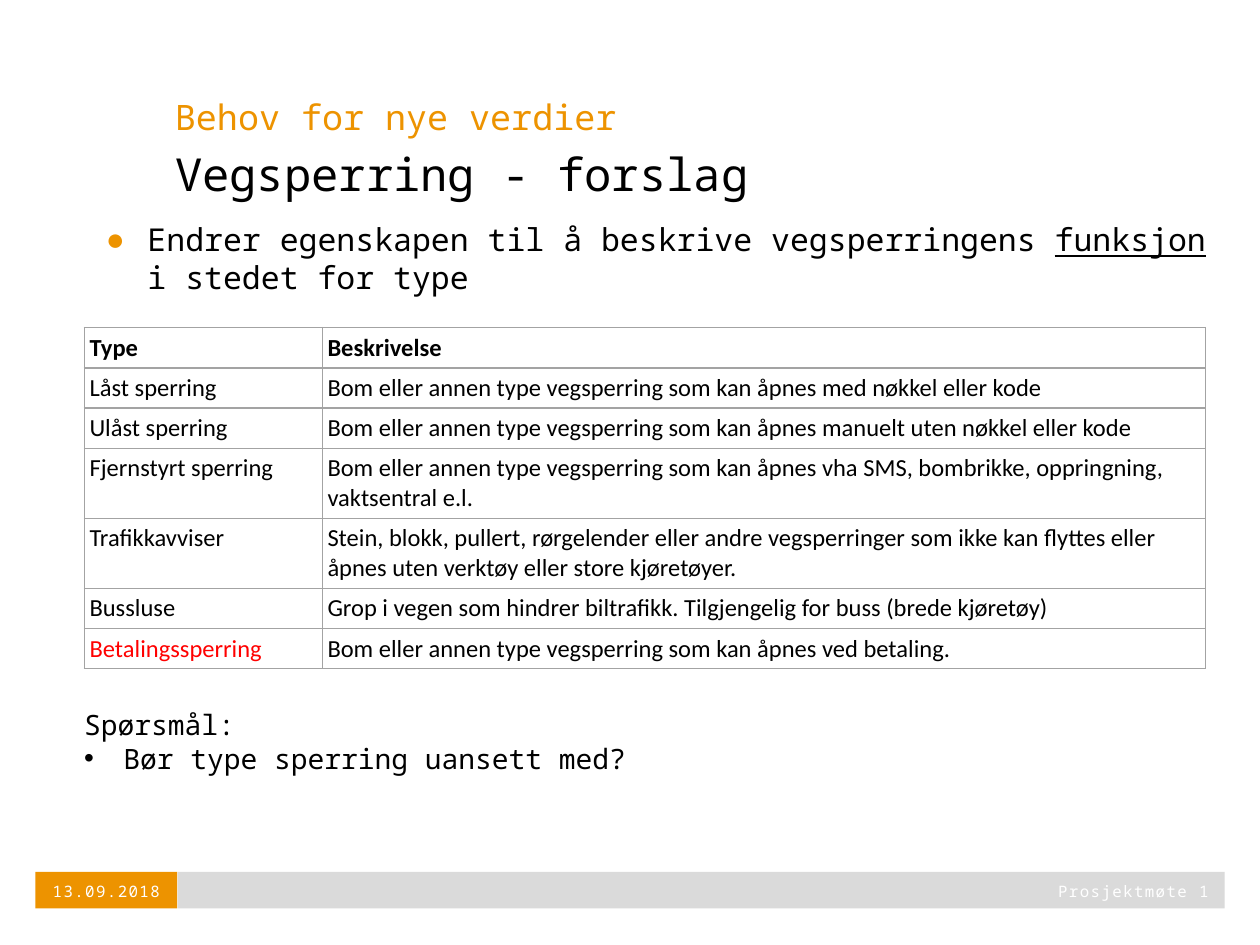
from dataclasses import dataclass

from lxml.etree import SubElement
from pptx import Presentation
from pptx.dml.color import RGBColor
from pptx.enum.shapes import MSO_SHAPE
from pptx.enum.text import MSO_ANCHOR, PP_ALIGN
from pptx.oxml.ns import qn
from pptx.util import Pt


@dataclass(frozen=True)
class Theme:
    orange: str = "ED9300"
    bar: str = "DADADA"
    border: str = "A3A3A3"
    black: str = "000000"
    white: str = "FFFFFF"
    red: str = "FF0000"
    mono: str = "Noto Sans Mono"
    sans: str = "Calibri"
    title: int = 26
    kicker: int = 20
    body: int = 18
    question: int = 16
    table: int = 14
    footer: int = 9


THEME = Theme()

BLOCKING_TYPES = [
    ("Type", "Beskrivelse"),
    ("Låst sperring", "Bom eller annen type vegsperring som kan åpnes med nøkkel eller kode"),
    ("Ulåst sperring", "Bom eller annen type vegsperring som kan åpnes manuelt uten nøkkel eller kode"),
    ("Fjernstyrt sperring", "Bom eller annen type vegsperring som kan åpnes vha SMS, bombrikke, "
                            "oppringning, vaktsentral e.l."),
    ("Trafikkavviser", "Stein, blokk, pullert, rørgelender eller andre vegsperringer som ikke kan "
                       "flyttes eller åpnes uten verktøy eller store kjøretøyer."),
    ("Bussluse", "Grop i vegen som hindrer biltrafikk. Tilgjengelig for buss (brede kjøretøy)"),
    ("Betalingssperring", "Bom eller annen type vegsperring som kan åpnes ved betaling."),
]
TWO_LINE_ROWS = (3, 4)


def add_bar(slide, left, width, color):
    bar = slide.shapes.add_shape(MSO_SHAPE.RECTANGLE, Pt(left), Pt(498.2), Pt(width), Pt(20.9))
    bar.shadow.inherit = False
    bar.fill.solid()
    bar.fill.fore_color.rgb = RGBColor.from_string(color)
    bar.line.fill.background()


def add_frame(slide, left, top, width, height, inset=(0, 0), anchor=MSO_ANCHOR.TOP):
    box = slide.shapes.add_textbox(Pt(left), Pt(top), Pt(width), Pt(height))
    frame = box.text_frame
    frame.word_wrap = True
    frame.vertical_anchor = anchor
    frame.margin_left = frame.margin_right = Pt(inset[0])
    frame.margin_top = frame.margin_bottom = Pt(inset[1])
    return frame


def add_run(paragraph, text, size, color=THEME.black, face=THEME.mono,
            bold=False, underline=False, tracking=0):
    run = paragraph.add_run()
    run.text = text
    run.font.size = Pt(size)
    run.font.name = face
    run.font.bold = bold
    run.font.underline = underline
    run.font.color.rgb = RGBColor.from_string(color)
    if tracking:
        run.font._element.set("spc", str(round(tracking * 100)))


def set_bullet(paragraph, mark, indent, color):
    properties = paragraph._p.get_or_add_pPr()
    properties.set("marL", str(Pt(indent)))
    properties.set("indent", str(-Pt(indent)))
    bullet_color = SubElement(properties, qn("a:buClr"))
    SubElement(bullet_color, qn("a:srgbClr"), val=color)
    SubElement(properties, qn("a:buFont"), typeface="Arial")
    SubElement(properties, qn("a:buChar"), char=mark)


def set_borders(cell, color):
    properties = cell._tc.get_or_add_tcPr()
    for position, side in enumerate(("a:lnL", "a:lnR", "a:lnT", "a:lnB")):
        line = SubElement(properties, qn(side), w=str(Pt(1)))
        fill = SubElement(line, qn("a:solidFill"))
        SubElement(fill, qn("a:srgbClr"), val=color)
        properties.insert(position, line)


def add_type_table(slide):
    heights = [40 if row in TWO_LINE_ROWS else 23 for row in range(len(BLOCKING_TYPES))]
    widths = (136, 504.8)
    table = slide.shapes.add_table(len(heights), len(widths), Pt(48.2), Pt(187.2),
                                   Pt(sum(widths)), Pt(sum(heights))).table
    for column, width in zip(table.columns, widths):
        column.width = Pt(width)
    for row, height in zip(table.rows, heights):
        row.height = Pt(height)
    for row_index, texts in enumerate(BLOCKING_TYPES):
        for column_index, text in enumerate(texts):
            cell = table.cell(row_index, column_index)
            cell.margin_left = cell.margin_right = Pt(3)
            cell.margin_top = cell.margin_bottom = Pt(3)
            cell.fill.background()
            set_borders(cell, THEME.border)
            color = THEME.red if text == "Betalingssperring" else THEME.black
            add_run(cell.text_frame.paragraphs[0], text, THEME.table, color,
                    THEME.sans, bold=row_index == 0)


def add_headings(slide):
    title = add_frame(slide, 100, 83.5, 550.8, 36.7)
    add_run(title.paragraphs[0], "Vegsperring - forslag", THEME.title)
    kicker = add_frame(slide, 100, 54.7, 448.6, 28.1).paragraphs[0]
    kicker.space_before = Pt(4.3)
    add_run(kicker, "Behov for nye verdier", THEME.kicker, THEME.orange)


def add_proposal(slide):
    proposal = add_frame(slide, 60.5, 126, 633.6, 141.1).paragraphs[0]
    proposal.space_before = Pt(4.3)
    set_bullet(proposal, "●", 23.8, THEME.orange)
    add_run(proposal, "Endrer egenskapen til å beskrive vegsperringens ", THEME.body)
    add_run(proposal, "funksjon", THEME.body, underline=True)
    add_run(proposal, " i stedet for type", THEME.body)


def add_question(slide):
    frame = add_frame(slide, 41, 401, 648, 46.1, inset=(7.2, 3.6))
    add_run(frame.paragraphs[0], "Spørsmål:", THEME.question)
    question = frame.add_paragraph()
    set_bullet(question, "•", 22.5, THEME.black)
    add_run(question, "Bør type sperring uansett med?", THEME.question)


def add_footer(slide):
    add_bar(slide, 101.5, 598.3, THEME.bar)
    add_bar(slide, 20.2, 81, THEME.orange)
    date = add_frame(slide, 20.2, 502.6, 81, 13.7, anchor=MSO_ANCHOR.MIDDLE).paragraphs[0]
    date.alignment = PP_ALIGN.CENTER
    add_run(date, "13.09.2018", THEME.footer, THEME.white, tracking=0.8)
    meeting = add_frame(slide, 597.6, 500.4, 108, 18, inset=(7.2, 3.6)).paragraphs[0]
    add_run(meeting, "Prosjektmøte 1", THEME.footer, THEME.white, tracking=0.8)


def main():
    presentation = Presentation()
    presentation.slide_width = Pt(720)
    presentation.slide_height = Pt(540)
    slide = presentation.slides.add_slide(presentation.slide_layouts[6])
    add_footer(slide)
    add_headings(slide)
    add_proposal(slide)
    add_type_table(slide)
    add_question(slide)
    presentation.save("out.pptx")


if __name__ == "__main__":
    main()
